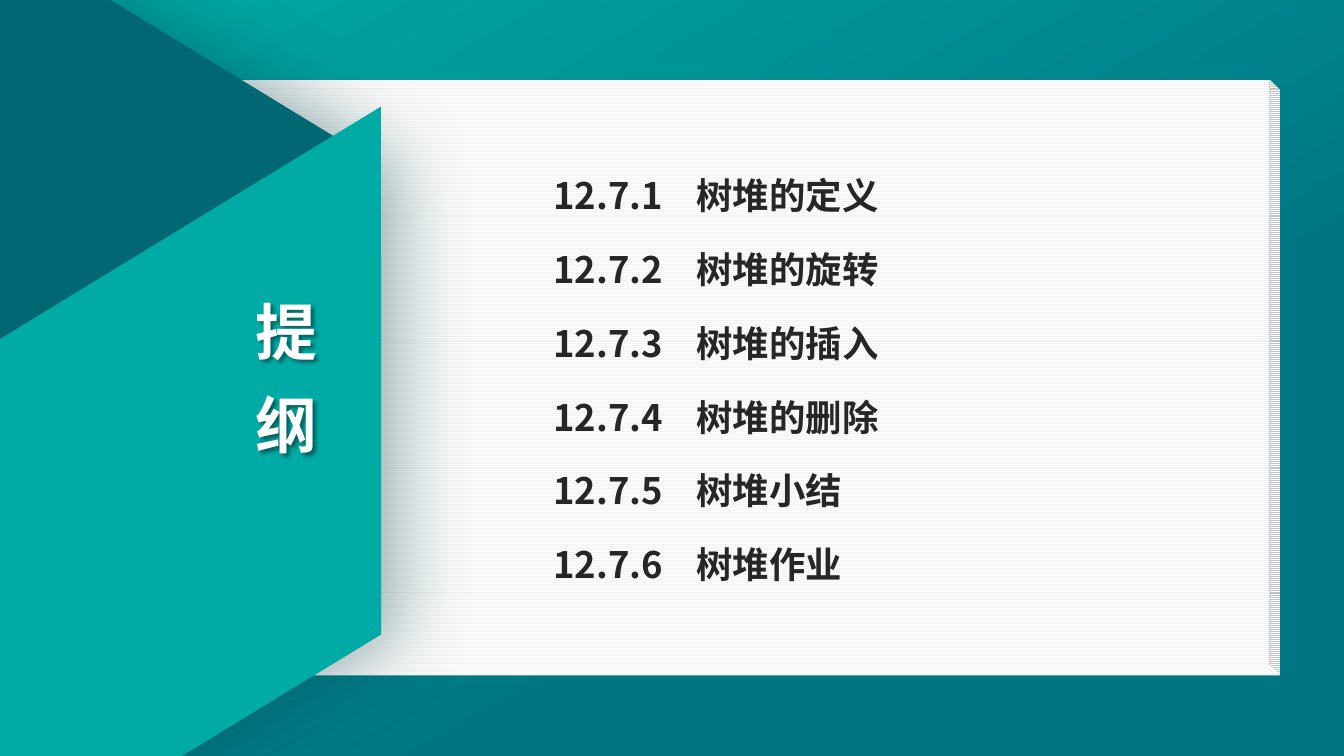
from lxml import etree
from pptx import Presentation
from pptx.dml.color import RGBColor
from pptx.enum.dml import MSO_PATTERN
from pptx.enum.shapes import MSO_SHAPE
from pptx.enum.text import PP_ALIGN
from pptx.oxml.ns import qn
from pptx.util import Inches, Pt

CUBE, HEXAGON, PARALLELOGRAM = MSO_SHAPE.CUBE, MSO_SHAPE.HEXAGON, MSO_SHAPE.PARALLELOGRAM
LINED = MSO_PATTERN.LIGHT_HORIZONTAL
LEFT, CENTER = PP_ALIGN.LEFT, PP_ALIGN.CENTER


def rgb(value):
    return RGBColor.from_string(value)


class Deck:
    font = "Noto Sans CJK SC"
    teal, deep, dark = "00ABA5", "007684", "016773"
    ink, white, paper = "262626", "FFFFFF", "F2F2F2"

    def __init__(self):
        self.prs = Presentation()
        self.prs.slide_width, self.prs.slide_height = Inches(13.33), Inches(7.5)
        self.s = self.prs.slides.add_slide(self.prs.slide_layouts[6])

    def gradient(self, fill, stops, angle):
        """Gradient along a clockwise angle; stops are (position, colour)."""
        fill.gradient()
        fill.gradient_angle = 360 - angle
        for stop, (position, color) in zip(fill.gradient_stops, stops):
            stop.position = position
            stop.color.rgb = rgb(color)

    def shape(self, kind, x, y, w, h, adj, rotation=0):
        sp = self.s.shapes.add_shape(kind, Inches(x), Inches(y), Inches(w), Inches(h))
        sp.adjustments[0] = adj
        sp.rotation = rotation
        sp.shadow.inherit = False
        sp.line.fill.background()
        return sp

    def shadow(self, sp, color, alpha, blur, dist, angle):
        sp.shadow.inherit = False
        effects = sp._element.spPr.find(qn("a:effectLst"))
        outer = etree.SubElement(effects, qn("a:outerShdw"), blurRad=str(Pt(blur)),
                                 dist=str(Pt(dist)), dir=str(angle * 60000),
                                 algn="ctr", rotWithShape="0")
        clr = etree.SubElement(outer, qn("a:srgbClr"), val=color)
        etree.SubElement(clr, qn("a:alpha"), val=str(alpha * 1000))

    def text(self, lines, x, y, w, h, size, color, spacing, before=0, align=LEFT, tab=None):
        sp = self.s.shapes.add_textbox(Inches(x), Inches(y), Inches(w), Inches(h))
        tf = sp.text_frame
        tf.word_wrap = True
        tf.margin_top = 0
        for i, line in enumerate(lines):
            p = tf.paragraphs[0] if i == 0 else tf.add_paragraph()
            p.text = line
            p.alignment = align
            p.line_spacing, p.space_before = spacing, Pt(before)
            if tab:
                tabs = etree.SubElement(p._p.get_or_add_pPr(), qn("a:tabLst"))
                etree.SubElement(tabs, qn("a:tab"), pos=str(Inches(tab)), algn="l")
            f = p.font
            f.name, f.size, f.bold = self.font, Pt(size), True
            f.color.rgb = rgb(color)
            etree.SubElement(f._element, qn("a:ea"), typeface=self.font)
        return sp


def main():
    d = Deck()
    d.gradient(d.s.background.fill, [(0, d.teal), (0.67, d.deep)], 60)

    # Lined notebook
    notebook = d.shape(CUBE, 0, 0.79, 12.7, 5.91, 0.018)
    notebook._element.spPr.xfrm.set("flipV", "1")
    notebook.fill.patterned()
    notebook.fill.pattern = LINED
    notebook.fill.fore_color.rgb = rgb(d.paper)
    notebook.fill.back_color.rgb = rgb(d.white)

    # Folded ribbon on the left
    fold = d.shape(HEXAGON, -6.21, -0.79, 10.46, 9.51, 0.305, 90)
    d.gradient(fold.fill, [(0.77, d.dark), (1, d.deep)], 90)
    d.shadow(fold, "013F45", 40, 55, 13, 0)
    ribbon = d.shape(PARALLELOGRAM, -2.74, 2.89, 8.29, 4.47, 0.61, 328.6)
    ribbon.fill.solid()
    ribbon.fill.fore_color.rgb = rgb(d.teal)

    # Vertical title
    title = d.text("提纲", 2.34, 2.72, 1, 1.9, 44, d.white, Pt(66.6), align=CENTER)
    d.shadow(title, "000000", 43, 3, 3, 45)

    # Outline
    topics = ["树堆的定义", "树堆的旋转", "树堆的插入", "树堆的删除", "树堆小结", "树堆作业"]
    d.text([f"12.7.{n}\t{topic}" for n, topic in enumerate(topics, 1)],
           5.39, 1.5, 5.91, 4.51, 26, d.ink, 1.5, before=6, tab=1.42)

    d.prs.save("out.pptx")


if __name__ == "__main__":
    main()
